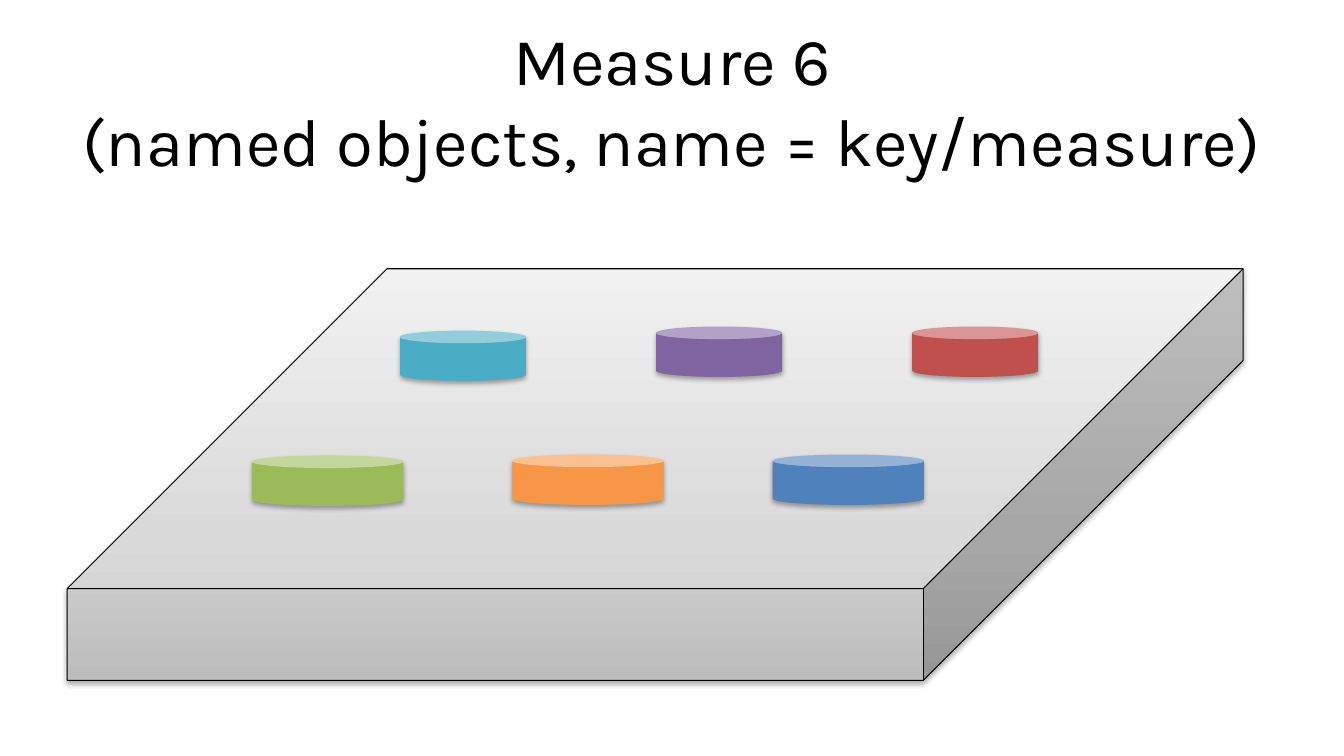
from copy import deepcopy

from lxml.etree import SubElement
from pptx import Presentation
from pptx.dml.color import RGBColor
from pptx.enum.shapes import MSO_SHAPE
from pptx.enum.text import MSO_ANCHOR, PP_ALIGN
from pptx.oxml.ns import qn
from pptx.util import Pt

COLORS = {
    "black": "000000",
    "slab_dark": "BDBDBD",
    "slab_middle": "D1D1D1",
    "slab_light": "EEEEEE",
    "green": "9BBB59",
    "orange": "F79646",
    "blue": "4F81BD",
    "teal": "4BACC6",
    "purple": "8064A2",
    "red": "C0504D",
}
SLAB_STOPS = [(0, "slab_dark"), (0.35, "slab_middle"), (1, "slab_light")]
CAN_HEIGHT = 36
FRONT_ROW = {"left": 132, "pitch": 186, "width": 108,
             "cans": [("green", 133.4), ("orange", 132.7), ("blue", 132.7)]}
BACK_ROW = {"left": 237.8, "pitch": 182.9, "width": 90,
            "cans": [("teal", 44.2), ("purple", 41.3), ("red", 41.3)]}


def color(name):
    """Return the named colour."""
    return RGBColor.from_string(COLORS[name])


def add_soft_shadow(shape):
    """Give the shape a soft shadow falling straight down."""
    shape.shadow.inherit = False
    effects = shape._element.spPr.find(qn("a:effectLst"))
    shadow = SubElement(effects, qn("a:outerShdw"), blurRad=str(Pt(3.5)),
                        dist=str(Pt(2.2)), dir="5400000", rotWithShape="0")
    shade = SubElement(shadow, qn("a:srgbClr"), val=COLORS["black"])
    SubElement(shade, qn("a:alpha"), val="32000")


def add_title(slide, lines, left, top, width, height):
    """Place the centred title lines in the box."""
    box = slide.shapes.add_textbox(Pt(left), Pt(top), Pt(width), Pt(height))
    text_frame = box.text_frame
    text_frame.word_wrap = True
    text_frame.vertical_anchor = MSO_ANCHOR.MIDDLE
    text_frame.text = "\n".join(lines)
    for paragraph in text_frame.paragraphs:
        paragraph.alignment = PP_ALIGN.CENTER
        font = paragraph.runs[0].font
        font.name = "Karla"
        font.size = Pt(48)
        font.color.rgb = color("black")


def add_slab(slide, left, top, width, height):
    """Draw the grey slab that fills the box."""
    slab = slide.shapes.add_shape(
        MSO_SHAPE.CUBE, Pt(left), Pt(top), Pt(width), Pt(height))
    slab.adjustments[0] = 0.777
    slab.fill.gradient()
    slab.fill.gradient_angle = 90
    stop_list = slab._element.spPr.find(".//" + qn("a:gsLst"))
    stop_list.append(deepcopy(stop_list[0]))
    for stop, (position, name) in zip(slab.fill.gradient_stops, SLAB_STOPS):
        stop.position = position
        stop.color.rgb = color(name)
    slab.line.color.rgb = color("black")
    slab.line.width = Pt(0.75)
    add_soft_shadow(slab)


def add_can_row(slide, row, left, top):
    """Place one row of evenly spaced cans on the slab at left, top."""
    for index, (name, drop) in enumerate(row["cans"]):
        can = slide.shapes.add_shape(
            MSO_SHAPE.CAN, Pt(left + row["left"] + index * row["pitch"]),
            Pt(top + drop), Pt(row["width"]), Pt(CAN_HEIGHT))
        can.fill.solid()
        can.fill.fore_color.rgb = color(name)
        can.line.fill.background()
        add_soft_shadow(can)


def add_measure(slide, left, top, width, height):
    """Draw the slab in the box with its two rows of cans."""
    add_slab(slide, left, top, width, height)
    for row in (FRONT_ROW, BACK_ROW):
        add_can_row(slide, row, left, top)


def main():
    """Build and save the slide."""
    presentation = Presentation()
    presentation.slide_width = Pt(960)
    presentation.slide_height = Pt(540)
    slide = presentation.slides.add_slide(presentation.slide_layouts[6])
    add_title(slide, ["Measure 6", "(named objects, name = key/measure)"],
              48, 21.6, 864, 98.6)
    add_measure(slide, 48, 192, 840, 294)
    presentation.save("out.pptx")


if __name__ == "__main__":
    main()
